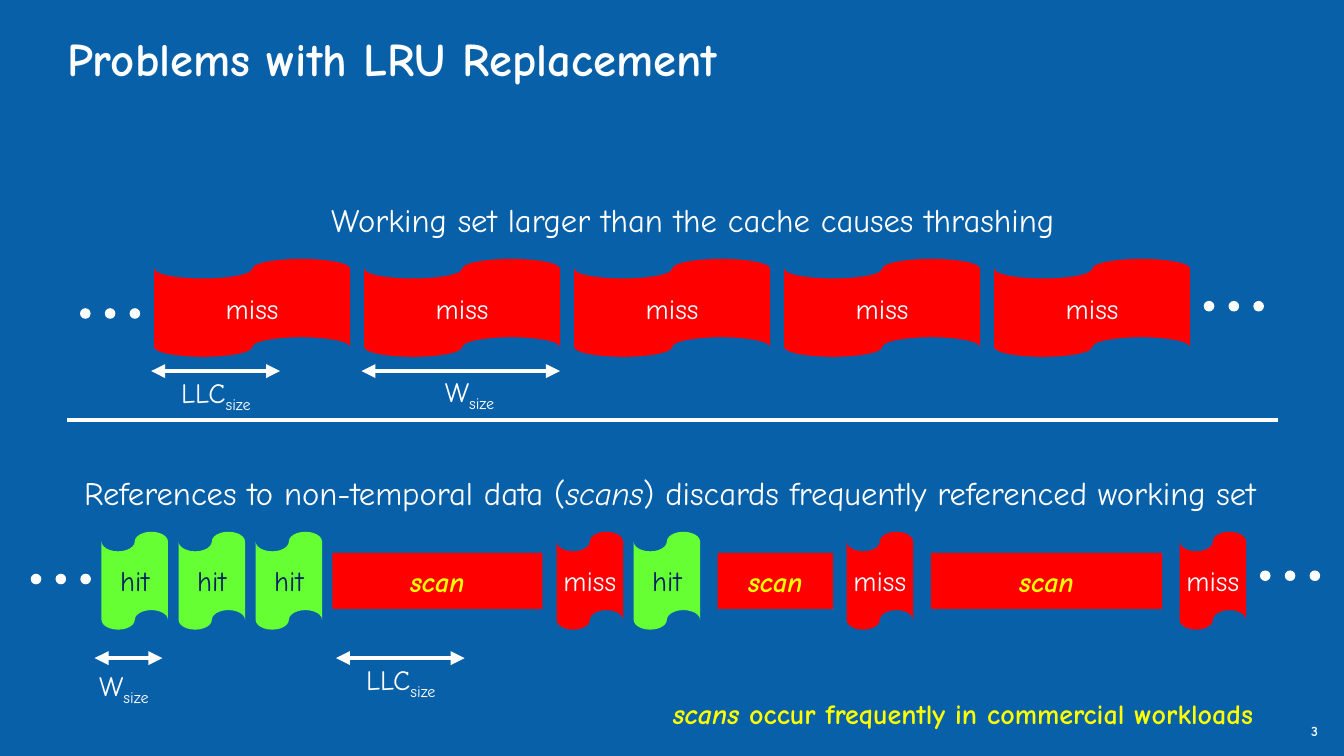
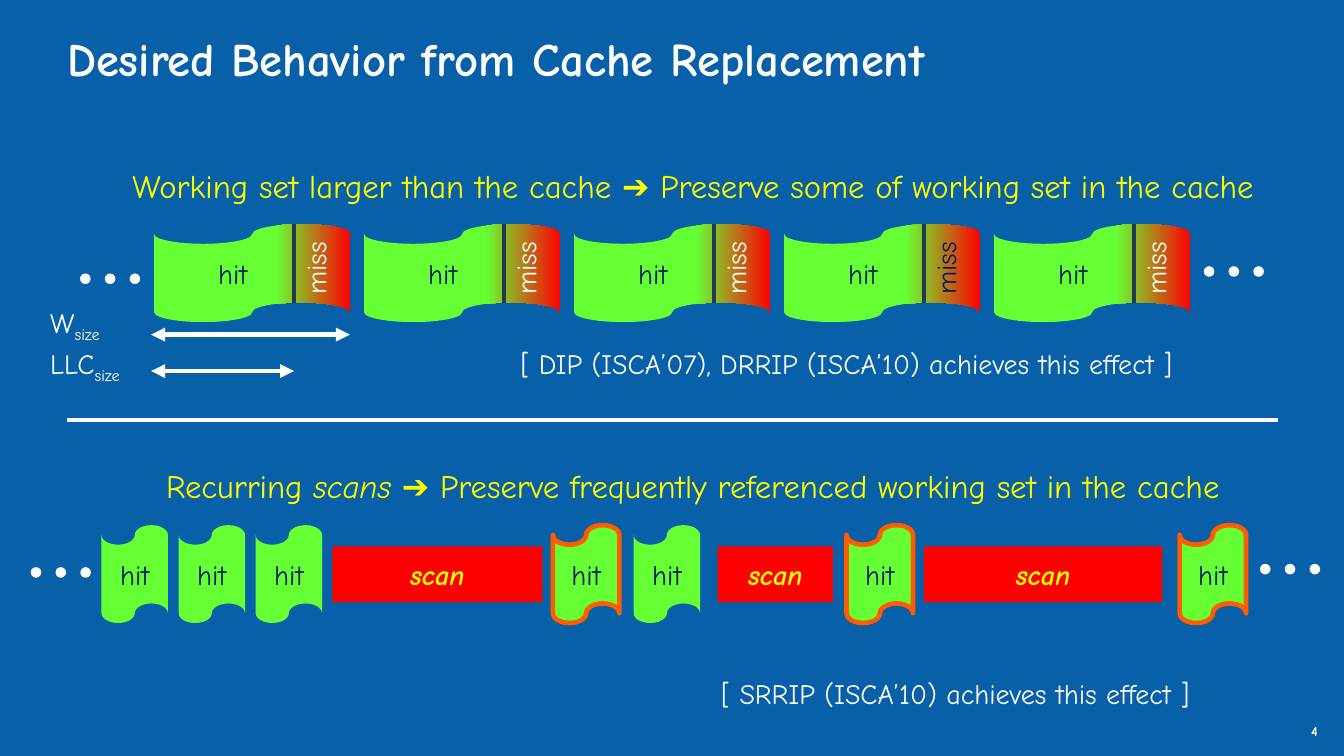
from copy import deepcopy
from dataclasses import dataclass, replace

from lxml.etree import SubElement
from pptx import Presentation
from pptx.dml.color import RGBColor
from pptx.enum.shapes import MSO_CONNECTOR, MSO_SHAPE
from pptx.enum.text import MSO_ANCHOR, PP_ALIGN
from pptx.oxml.ns import qn
from pptx.presentation import Presentation as Deck
from pptx.shapes.autoshape import Shape
from pptx.shapes.connector import Connector
from pptx.slide import Slide
from pptx.text.text import TextFrame
from pptx.util import Cm, Pt

COLORS = {
    "blue": "0860A8",
    "white": "FFFFFF",
    "red": "FF0000",
    "green": "66FF33",
    "navy": "002060",
    "yellow": "FFFF00",
    "orange": "FF5C00",
    "slate": "1E3B52",
}
FONT = "Comic Neue"
LINE_WIDTH = Pt(4)
TAPE_HEIGHT = 2.96
WIDE_TAPE = 5.93
NARROW_TAPE = 2.01
DOT_SIZE = 0.32
DOT_PITCH = 0.75


@dataclass(frozen=True)
class Box:
    left: float
    top: float
    width: float
    height: float

    def lengths(self) -> tuple[Cm, Cm, Cm, Cm]:
        return Cm(self.left), Cm(self.top), Cm(self.width), Cm(self.height)


@dataclass(frozen=True)
class Span:
    text: str
    italic: bool = False
    subscript: bool = False


@dataclass(frozen=True)
class Style:
    size: int = 24
    color: str = "white"
    bold: bool = False
    centered: bool = False
    margin: float | None = None
    indent: float = 0


@dataclass(frozen=True)
class Block:
    left: float
    width: float
    kind: str


@dataclass(frozen=True)
class Measure:
    left: float
    right: float
    top: float
    base: str
    label: Box


@dataclass(frozen=True)
class Kind:
    text: str
    fill: str
    color: str
    outline: str | None = None
    is_scan: bool = False


BODY = Style()
TITLE = Style(size=40, bold=True, margin=0)
NUMBER = Style(size=12, bold=True, margin=0)
HEADING = Style(size=28, centered=True, indent=1.27)
YELLOW_HEADING = replace(HEADING, color="yellow")
REMARK = Style(color="yellow", bold=True, centered=True)

KINDS = {
    "miss": Kind("miss", "red", "white"),
    "hit": Kind("hit", "green", "navy"),
    "kept": Kind("hit", "green", "navy", outline="orange"),
    "scan": Kind("scan", "red", "yellow", is_scan=True),
}


def rgb(name: str) -> RGBColor:
    return RGBColor.from_string(COLORS[name])


def fill_frame(frame: TextFrame, spans: list[Span], style: Style) -> None:
    para = frame.paragraphs[0]
    para.alignment = PP_ALIGN.CENTER if style.centered else PP_ALIGN.LEFT
    if style.indent:
        para.level = 1
        properties = para._p.get_or_add_pPr()
        properties.set("marL", str(Cm(style.indent)))
        properties.set("indent", "0")
    for span in spans:
        run = para.add_run()
        run.text = span.text
        run.font.name = FONT
        run.font.size = Pt(style.size)
        run.font.bold = style.bold
        run.font.italic = span.italic
        run.font.color.rgb = rgb(style.color)
        if span.subscript:
            run._r.get_or_add_rPr().set("baseline", "-25000")


def add_text(page: Slide, box: Box, spans: list[Span], style: Style = BODY) -> Shape:
    shape = page.shapes.add_textbox(*box.lengths())
    frame = shape.text_frame
    frame.word_wrap = True
    if style.margin is not None:
        margin = Cm(style.margin)
        frame.margin_left = frame.margin_right = margin
        frame.margin_top = frame.margin_bottom = margin
    fill_frame(frame, spans, style)
    return shape


def add_solid(page: Slide, preset: MSO_SHAPE, box: Box, fill: str, outline: str | None = None) -> Shape:
    shape = page.shapes.add_shape(preset, *box.lengths())
    shape.shadow.inherit = False
    shape.fill.solid()
    shape.fill.fore_color.rgb = rgb(fill)
    if outline:
        shape.line.color.rgb = rgb(outline)
        shape.line.width = LINE_WIDTH
    else:
        shape.line.fill.background()
    return shape


def add_block(page: Slide, block: Block, top: float) -> Shape:
    kind = KINDS[block.kind]
    if kind.is_scan:
        preset, box = MSO_SHAPE.RECTANGLE, Box(block.left, top + 0.64, block.width, 1.69)
    else:
        preset, box = MSO_SHAPE.FLOWCHART_PUNCHED_TAPE, Box(block.left, top, block.width, TAPE_HEIGHT)
    shape = add_solid(page, preset, box, kind.fill, kind.outline)
    frame = shape.text_frame
    frame.word_wrap = False
    frame.vertical_anchor = MSO_ANCHOR.MIDDLE
    style = Style(color=kind.color, bold=kind.is_scan, centered=True)
    fill_frame(frame, [Span(kind.text, italic=kind.is_scan)], style)
    return shape


def add_dots(page: Slide, left: float, top: float) -> None:
    for index in range(3):
        box = Box(left + index * DOT_PITCH, top, DOT_SIZE, DOT_SIZE)
        add_solid(page, MSO_SHAPE.OVAL, box, "white")


def add_line(page: Slide, left: float, top: float, right: float, bottom: float, color: str = "white") -> Connector:
    line = page.shapes.add_connector(MSO_CONNECTOR.STRAIGHT, Cm(left), Cm(top), Cm(right), Cm(bottom))
    line.line.color.rgb = rgb(color)
    line.line.width = LINE_WIDTH
    SubElement(line._element.spPr, qn("a:effectLst"))
    return line


def add_measure(page: Slide, measure: Measure) -> None:
    arrow = add_line(page, measure.left, measure.top, measure.right, measure.top)
    outline = arrow.line._get_or_add_ln()
    for end in ("a:headEnd", "a:tailEnd"):
        SubElement(outline, qn(end)).set("type", "triangle")
    add_text(page, measure.label, [Span(measure.base), Span("size", subscript=True)])


def blend_to_miss(shape: Shape) -> None:
    shape.fill.gradient()
    shape.fill.gradient_angle = 0
    stop_list = shape._element.spPr.find(qn("a:gradFill")).find(qn("a:gsLst"))
    stop_list.insert(1, deepcopy(stop_list[0]))
    stops = zip(shape.fill.gradient_stops, (0, 0.62, 1), ("green", "green", "red"))
    for stop, position, color in stops:
        stop.position = position
        stop.color.rgb = rgb(color)


def add_split(page: Slide, left: float, top: float, miss_color: str) -> None:
    add_line(page, left + 4.23, top, left + 4.23, top + 2.39, "slate")
    label = add_text(page, Box(left + 3.75, top + 0.62, 2.24, 1.27), [Span("miss")], Style(color=miss_color))
    label.rotation = 270


def add_working_set(page: Slide, top: float, split_colors: list[str] | None = None) -> None:
    for index in range(5):
        left = 4.66 + index * 6.35
        tape = add_block(page, Block(left, WIDE_TAPE, "hit" if split_colors else "miss"), top)
        if split_colors:
            blend_to_miss(tape)
            tape.text_frame.margin_right = Cm(1.42)
            add_split(page, left, top, split_colors[index])
    add_dots(page, 2.42, top + 1.49)
    add_dots(page, 36.4, top + 1.27)


def add_scan_row(page: Slide, top: float, reuse: str, reuse_left: float, last_scan: Block) -> None:
    blocks = [Block(3.07 + index * 2.33, NARROW_TAPE, "hit") for index in range(3)]
    blocks += [
        Block(19.16, NARROW_TAPE, "hit"),
        Block(10.05, 6.35, "scan"),
        Block(21.7, 3.49, "scan"),
        last_scan,
    ]
    blocks += [Block(left, NARROW_TAPE, reuse) for left in (reuse_left, 25.6, 35.67)]
    for block in blocks:
        add_block(page, block, top)
    add_dots(page, 0.93, top + 1.27)
    add_dots(page, 38.1, top + 1.17)


def add_page(deck: Deck, title: str, number: int) -> Slide:
    page = deck.slides.add_slide(deck.slide_layouts[6])
    add_text(page, Box(2.03, 0.91, 36.6, 2.97), [Span(title)], TITLE)
    add_text(page, Box(39.65, 21.84, 0.99, 1.02), [Span(str(number))], NUMBER)
    add_line(page, 2.03, 12.7, 38.63, 12.7)
    return page


def add_problems(deck: Deck) -> None:
    page = add_page(deck, "Problems with LRU Replacement", 3)
    add_text(page, Box(3.38, 5.92, 33.86, 1.45),
             [Span("Working set larger than the cache causes thrashing")], HEADING)
    add_text(page, Box(0, 14.17, 39.24, 1.45),
             [Span("References to non-temporal data ("), Span("scans", italic=True),
              Span(") discards frequently referenced working set")], HEADING)
    add_working_set(page, 7.83)
    add_scan_row(page, 16.08, "miss", 16.83, Block(28.15, 6.99, "scan"))
    for measure in (
        Measure(4.57, 8.47, 11.22, "LLC", Box(5.23, 11.23, 3.02, 1.3)),
        Measure(10.93, 16.93, 11.22, "W", Box(13.2, 11.2, 2.46, 1.3)),
        Measure(2.86, 4.91, 19.9, "W", Box(2.75, 20.1, 2.46, 1.3)),
        Measure(10.16, 14.05, 19.9, "LLC", Box(10.82, 19.9, 3.02, 1.3)),
    ):
        add_measure(page, measure)
    add_text(page, Box(18.42, 20.93, 21.39, 1.3),
             [Span("scans", italic=True), Span(" occur frequently in commercial workloads")], REMARK)


def add_desired(deck: Deck) -> None:
    page = add_page(deck, "Desired Behavior from Cache Replacement", 4)
    add_text(page, Box(0, 4.88, 40.64, 1.45),
             [Span("Working set larger than the cache ➔ Preserve some of working set in the cache")],
             YELLOW_HEADING)
    add_text(page, Box(1.02, 13.97, 38.58, 1.45),
             [Span("Recurring "), Span("scans ", italic=True),
              Span("➔ Preserve frequently referenced working set in the cache")], YELLOW_HEADING)
    add_working_set(page, 6.78, ["white", "white", "white", "navy", "white"])
    add_scan_row(page, 15.88, "kept", 16.72, Block(27.94, 7.2, "scan"))
    add_measure(page, Measure(4.57, 10.58, 10.12, "W", Box(1.27, 9.1, 2.46, 1.3)))
    add_measure(page, Measure(4.57, 8.89, 11.22, "LLC", Box(1.27, 10.36, 3.02, 1.3)))
    add_text(page, Box(15.49, 10.36, 23.04, 1.27),
             [Span("[ DIP (ISCA’07), DRRIP (ISCA’10) achieves this effect ]")])
    add_text(page, Box(21.56, 20.32, 16.71, 1.27), [Span("[ SRRIP (ISCA’10) achieves this effect ]")])


def main() -> None:
    deck = Presentation()
    deck.slide_width, deck.slide_height = Cm(40.64), Cm(22.86)
    background = deck.slide_master.background.fill
    background.solid()
    background.fore_color.rgb = rgb("blue")
    add_problems(deck)
    add_desired(deck)
    deck.save("out.pptx")


if __name__ == "__main__":
    main()
